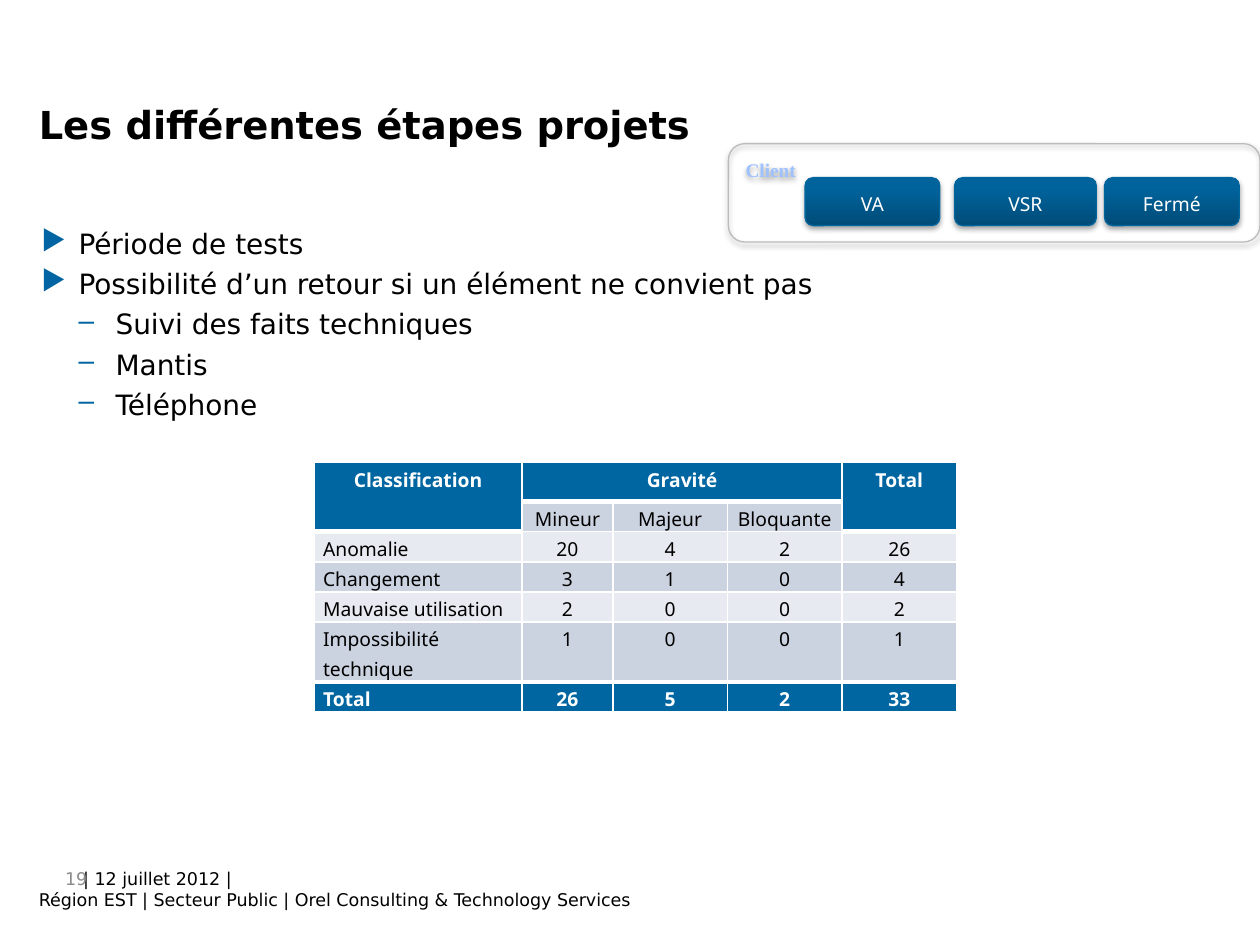
"""Build the project stages slide with its test phase summary table."""
from dataclasses import dataclass
from typing import Optional

from pptx import Presentation
from pptx import util as u
from pptx.dml import color
from pptx.enum import shapes, text
from pptx.oxml import parse_xml
from pptx.oxml.ns import nsdecls, qn

Pt = u.Pt
AL, ANC = text.PP_ALIGN, text.MSO_ANCHOR
SANS, NOTO = "DejaVu Sans", "Noto Sans"
BLUE, BUTTON, DARK, LIGHT = "0066A1", "00649D", "CCD3E0", "E7EAF0"
BUTTON_STOPS = [(0, "004C78"), (80, "00639C"), (100, "00639D")]
CLIENT_STOPS = [(0, "BED3F9"), (9, "9EC1FF"), (50, "003692"), (79, "9EC1FF"), (100, "BED3F9")]


@dataclass
class Style:
    size: float
    font: str = SANS
    hex: str = "000000"
    bold: bool = False


@dataclass
class Para:
    words: str
    align: Optional[AL] = None
    left: float = 0
    indent: float = 0
    bullet: str = ""
    before: float = 0
    after: float = 0
    spacing: float = 1


@dataclass
class Box:
    left: float
    top: float
    width: float
    height: float

    def pts(self):
        return [Pt(v) for v in (self.left, self.top, self.width, self.height)]


@dataclass
class Button:
    label: str
    left: float
    width: float


def rgb(value: str):
    return color.RGBColor.from_string(value)


def element(xml: str):
    tag, rest = xml[:-1].split(" ", 1) if " " in xml.split(">")[0] else (xml.split(">")[0], "")
    return parse_xml(xml.replace(tag, f"{tag} {nsdecls('a')}", 1))


def write(p, para: Para, style: Style):
    if para.align is not None:
        p.alignment = para.align
    p.line_spacing = para.spacing
    p.space_before, p.space_after = Pt(para.before), Pt(para.after)
    pPr = p._p.get_or_add_pPr()
    pPr.set("marL", str(Pt(para.left)))
    pPr.set("indent", str(Pt(para.indent)))
    if para.bullet:
        pPr.append(element('<a:buClr><a:srgbClr val="0065A2"/></a:buClr>'))
        pPr.append(element(f'<a:buChar char="{para.bullet}"/>'))
    r = p.add_run()
    r.text = para.words
    r.font.size, r.font.name, r.font.bold = Pt(style.size), style.font, style.bold
    r.font.color.rgb = rgb(style.hex)
    return r


def text_box(s, box: Box, paras: list[Para], style: Style, anchor=ANC.TOP):
    tf = s.shapes.add_textbox(*box.pts()).text_frame
    tf.word_wrap, tf.vertical_anchor = True, anchor
    for i, para in enumerate(paras):
        write(tf.paragraphs[0] if i == 0 else tf.add_paragraph(), para, style)


def gradient(fill, parent, stops: list[tuple[int, str]], angle: int):
    fill.gradient()
    grad = parent.find(qn("a:gradFill"))
    for child in list(grad):
        grad.remove(child)
    marks = "".join(f'<a:gs pos="{pos * 1000}"><a:srgbClr val="{c}"/></a:gs>' for pos, c in stops)
    grad.append(element(f"<a:gsLst>{marks}</a:gsLst>"))
    grad.append(element(f'<a:lin ang="{angle * 60000}" scaled="0"/>'))


def rounded(s, box: Box, line: str, distance: float, alpha: int):
    sp = s.shapes.add_shape(shapes.MSO_SHAPE.ROUNDED_RECTANGLE, *box.pts())
    sp.fill.background()
    sp.line.color.rgb, sp.line.width = rgb(line), Pt(0.75)
    sp.shadow.inherit = False
    sp._element.spPr.find(qn("a:effectLst")).append(element(
        f'<a:outerShdw blurRad="{Pt(3.1)}" dist="{Pt(distance)}" dir="5400000" rotWithShape="0">'
        f'<a:srgbClr val="000000"><a:alpha val="{alpha * 1000}"/></a:srgbClr></a:outerShdw>'))
    return sp


def client_panel(s, box: Box):
    sp = rounded(s, box, "BBBBBB", 1.6, 38)
    tf = sp.text_frame
    tf.vertical_anchor = ANC.TOP
    para = Para("Client", AL.LEFT, after=10, spacing=1.15)
    r = write(tf.paragraphs[0], para, Style(11, "Times New Roman", bold=True))
    rPr = r._r.get_or_add_rPr()
    gradient(r.font.fill, rPr, CLIENT_STOPS, 90)
    rPr.insert(0, element(f'<a:ln w="{Pt(0.42)}"><a:solidFill><a:srgbClr val="4579B8"/></a:solidFill></a:ln>'))


def draw_button(s, button: Button):
    sp = rounded(s, Box(button.left, 101.5, button.width, 27.4), BUTTON, 1.8, 35)
    gradient(sp.fill, sp._element.spPr, BUTTON_STOPS, 270)
    tf = sp.text_frame
    tf.vertical_anchor = ANC.MIDDLE
    write(tf.paragraphs[0], Para(button.label, AL.CENTER, after=10, spacing=1.15), Style(11, NOTO, "FFFFFF"))


def cell_format(cell, fill: str, top: float, bottom: float):
    cell.margin_left = cell.margin_right = Pt(5)
    cell.margin_top = cell.margin_bottom = 0
    tcPr = cell._tc.get_or_add_tcPr()
    for side, width in (("L", 1), ("R", 1), ("T", top), ("B", bottom)):
        tcPr.append(element(f'<a:ln{side} w="{Pt(width)}"><a:solidFill><a:srgbClr val="FFFFFF"/>'
                            f'</a:solidFill></a:ln{side}>'))
    cell.fill.solid()
    cell.fill.fore_color.rgb = rgb(fill)


def summary_table(s, left: float, top: float, rows: list[list[str]]):
    widths = [118.8, 51.8, 65.5, 65.5, 65.5]
    heights = [22.3, 17.2, 17.2, 17.2, 17.2, 34.4, 17.2]
    frame = s.shapes.add_table(len(rows), len(widths), *Box(left, top, sum(widths), sum(heights)).pts())
    tb = frame.table
    tb.first_row = tb.horz_banding = False
    for col, width in zip(tb.columns, widths):
        col.width = Pt(width)
    for row, height in zip(tb.rows, heights):
        row.height = Pt(height)
    last = len(rows) - 1
    for i, row in enumerate(rows):
        for j, words in enumerate(row):
            strong = i in (0, last) or (i == 1 and j in (0, 4))
            fill = BLUE if strong else DARK if i % 2 else LIGHT
            thick_top = i in (1, last) and not (i == 1 and strong) or (i == 2 and j in (0, 4))
            thick_bottom = i in (0, last - 1) or (i == 1 and strong)
            cell = tb.cell(i, j)
            cell_format(cell, fill, 3 if thick_top else 1, 3 if thick_bottom else 1)
            if words:
                align = AL.JUSTIFY if j == 0 and i > 1 else AL.CENTER
                style = Style(11, NOTO, "FFFFFF" if strong else "000000", strong)
                write(cell.text_frame.paragraphs[0], Para(words, align, spacing=1.15), style)
    for first, end in (((0, 0), (1, 0)), ((0, 1), (0, 3)), ((0, 4), (1, 4))):
        tb.cell(*first).merge(tb.cell(*end))


def main():
    prs = Presentation()
    prs.slide_width, prs.slide_height = Pt(720), Pt(540)
    s = prs.slides.add_slide(prs.slide_layouts[6])
    text_box(s, Box(15.1, 492.5, 453.6, 31.7), [
        Para("| 12 juillet 2012 |", indent=25.4),
        Para("Région EST | Secteur Public | Orel Consulting & Technology Services")], Style(10))
    text_box(s, Box(20.2, 492.5, 36.7, 28.8), [Para("19", AL.RIGHT)], Style(10, hex="8C8C8C"))
    client_panel(s, Box(416.2, 82.1, 303.8, 56.2))
    for button in (Button("VA", 460.1, 77), Button("VSR", 545.5, 81), Button("Fermé", 631.2, 77)):
        draw_button(s, button)
    items = [("Période de tests", 0), ("Possibilité d’un retour si un élément ne convient pas", 0),
             ("Suivi des faits techniques", 1), ("Mantis", 1), ("Téléphone", 1)]
    bullets = [Para(words, left=21.2 * (level + 1), indent=-21.2, bullet="▶–"[level],
                    before=3.75 if i else 0) for i, (words, level) in enumerate(items)]
    text_box(s, Box(16.6, 126, 684, 326.2), bullets, Style(16))
    text_box(s, Box(15.1, 56.9, 684, 28.1), [Para("Les différentes étapes projets")],
             Style(22, bold=True), ANC.MIDDLE)
    summary_table(s, 179.6, 264.4, [
        ["Classification", "Gravité", "", "", "Total"],
        ["", "Mineur", "Majeur", "Bloquante", ""],
        ["Anomalie", "20", "4", "2", "26"],
        ["Changement", "3", "1", "0", "4"],
        ["Mauvaise utilisation", "2", "0", "0", "2"],
        ["Impossibilité technique", "1", "0", "0", "1"],
        ["Total", "26", "5", "2", "33"]])
    prs.save("out.pptx")


if __name__ == "__main__":
    main()
